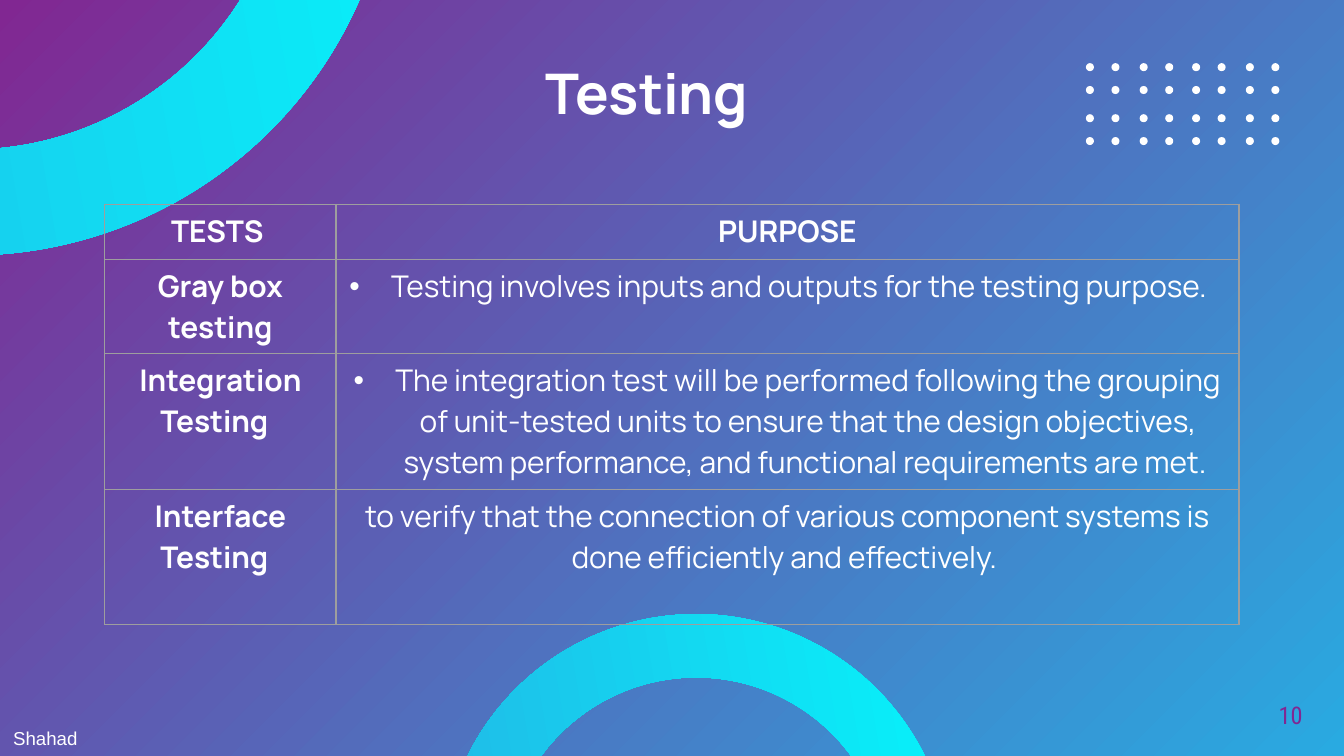
"""Build the Testing slide: gradient backdrop, rings, dot grid and a table of tests."""
from dataclasses import dataclass
from itertools import product

from lxml import etree
from pptx import Presentation
from pptx import util as u
from pptx.dml.color import RGBColor
from pptx.enum import shapes, text
from pptx.oxml import ns

PX = 9144


@dataclass(frozen=True)
class Theme:
    white: str = "FFFFFF"
    purple: str = "812792"
    blue: str = "29AAE1"
    cyan: str = "00FFFF"
    border: str = "9E9E9E"
    font: str = "Manrope"
    number_font: str = "Roboto Condensed"
    plain_font: str = "Arial"
    title_size: int = 30
    table_size: int = 16
    number_size: int = 13
    footer_size: int = 10


@dataclass(frozen=True)
class Box:
    x: int
    y: int
    w: int
    h: int

    def emu(self) -> tuple[int, ...]:
        return tuple(v * PX for v in (self.x, self.y, self.w, self.h))


@dataclass(frozen=True)
class Test:
    name: str
    purpose: str
    height: int
    bullet: bool = False
    header: bool = False
    align: text.PP_ALIGN = text.PP_ALIGN.CENTER


T = Theme()
RINGS = (Box(-340, -444, 634, 634), Box(328, 457, 380, 380))
DOT_XS = [808 + round(i * 119 / 3) + dx for i in range(4) for dx in (0, 19)]
DOT_YS = [47 + i * 38 + dy for i in range(2) for dy in (0, 17)]
COLUMNS = (172, 672)
TESTS = (
    Test("TESTS ", "PURPOSE", 41, header=True),
    Test("Gray box testing",
         "Testing involves inputs and outputs for the testing purpose.",
         70, bullet=True, align=text.PP_ALIGN.LEFT),
    Test("Integration Testing  ",
         "The integration test will be performed following the grouping of "
         "unit-tested units to ensure that the design objectives, system "
         "performance, and functional requirements are met. ", 101, bullet=True),
    Test("Interface Testing  ",
         "to verify that the connection of various component systems is done "
         "efficiently and effectively. ", 101),
)


def set_gradient(fill, start: str, end: str, angle: int) -> None:
    fill.gradient()
    fill.gradient_angle = angle
    for stop, color in zip(fill.gradient_stops, (start, end)):
        stop.color.rgb = RGBColor.from_string(color)


def add_child(parent, tag: str, **attrs: str):
    return etree.SubElement(parent, ns.qn(tag), attrs)


def add_color(parent, color: str) -> None:
    add_child(parent, "a:srgbClr", val=color)


def write(p, words: str, size: int, font: str, color: str = T.white,
          bold: bool = False, align: text.PP_ALIGN = text.PP_ALIGN.LEFT) -> None:
    p.alignment = align
    r = p.add_run()
    r.text = words
    for name, value in {"name": font, "size": u.Pt(size), "bold": bold}.items():
        setattr(r.font, name, value)
    r.font.color.rgb = RGBColor.from_string(color)


def add_preset(slide, kind: shapes.MSO_SHAPE, box: Box):
    sp = slide.shapes.add_shape(kind, *box.emu())
    sp.shadow.inherit = False
    sp.line.fill.background()
    return sp


def add_ring(slide, box: Box) -> None:
    sp = add_preset(slide, shapes.MSO_SHAPE.DONUT, box)
    sp.adjustments[0] = 0.124
    sp.rotation = 35.2
    set_gradient(sp.fill, T.cyan, T.blue, 225)


def add_dot(slide, x: int, y: int) -> None:
    sp = add_preset(slide, shapes.MSO_SHAPE.OVAL, Box(x, y, 6, 6))
    sp.fill.solid()
    sp.fill.fore_color.rgb = RGBColor.from_string(T.white)


def set_margins(tf, size: int) -> None:
    for side in ("left", "right", "top", "bottom"):
        setattr(tf, f"margin_{side}", size * PX)


def add_bullet(p) -> None:
    pPr = p._p.get_or_add_pPr()
    for name, value in {"marL": 31 * PX, "indent": -31 * PX}.items():
        pPr.set(name, str(value))
    add_color(add_child(pPr, "a:buClr"), T.white)
    add_child(pPr, "a:buFont", typeface=T.plain_font)
    add_child(pPr, "a:buChar", char="•")


def style_cell(cell) -> None:
    tcPr = cell._tc.get_or_add_tcPr()
    for side in "LRTB":
        ln = add_child(tcPr, f"a:ln{side}", w=str(u.Pt(0.75)))
        add_color(add_child(ln, "a:solidFill"), T.border)
    cell.fill.background()


def add_tests(slide, x: int, y: int) -> None:
    box = Box(x, y, sum(COLUMNS), sum(t.height for t in TESTS))
    table = slide.shapes.add_table(len(TESTS), len(COLUMNS), *box.emu()).table
    table.first_row = table.horz_banding = False
    for column, width in zip(table.columns, COLUMNS):
        column.width = width * PX
    for row, test in zip(table.rows, TESTS):
        row.height = test.height * PX
        name, purpose = row.cells
        for cell in (name, purpose):
            style_cell(cell)
        write(name.text_frame.paragraphs[0], test.name, T.table_size, T.font,
              bold=True, align=text.PP_ALIGN.CENTER)
        p = purpose.text_frame.paragraphs[0]
        if test.bullet:
            add_bullet(p)
        write(p, test.purpose, T.table_size, T.font, bold=test.header, align=test.align)


def add_title(slide, box: Box, words: str) -> None:
    title = slide.shapes.title
    title.left, title.top, title.width, title.height = box.emu()
    tf = title.text_frame
    set_margins(tf, 10)
    tf.vertical_anchor = text.MSO_ANCHOR.MIDDLE
    write(tf.paragraphs[0], words, T.title_size, T.font, bold=True)


def add_label(slide, box: Box, wrap: bool):
    tf = slide.shapes.add_textbox(*box.emu()).text_frame
    tf.word_wrap = wrap
    return tf


def main() -> None:
    prs = Presentation()
    prs.slide_width = 1000 * PX
    prs.slide_height = prs.slide_width * 9 // 16
    slide = prs.slides.add_slide(prs.slide_layouts[5])
    set_gradient(slide.background.fill, T.purple, T.blue, 315)
    for ring in RINGS:
        add_ring(slide, ring)
    for x, y in product(DOT_XS, DOT_YS):
        add_dot(slide, x, y)
    number = add_label(slide, Box(919, 511, 60, 43), wrap=True)
    set_margins(number, 10)
    write(number.paragraphs[0], "10", T.number_size, T.number_font, T.purple,
          align=text.PP_ALIGN.RIGHT)
    add_tests(slide, 78, 152)
    footer = add_label(slide, Box(0, 536, 68, 27), wrap=False)
    footer.auto_size = text.MSO_AUTO_SIZE.SHAPE_TO_FIT_TEXT
    write(footer.paragraphs[0], "Shahad", T.footer_size, T.plain_font)
    add_title(slide, Box(396, -15, 592, 167), "Testing")
    prs.save("out.pptx")


if __name__ == "__main__":
    main()
